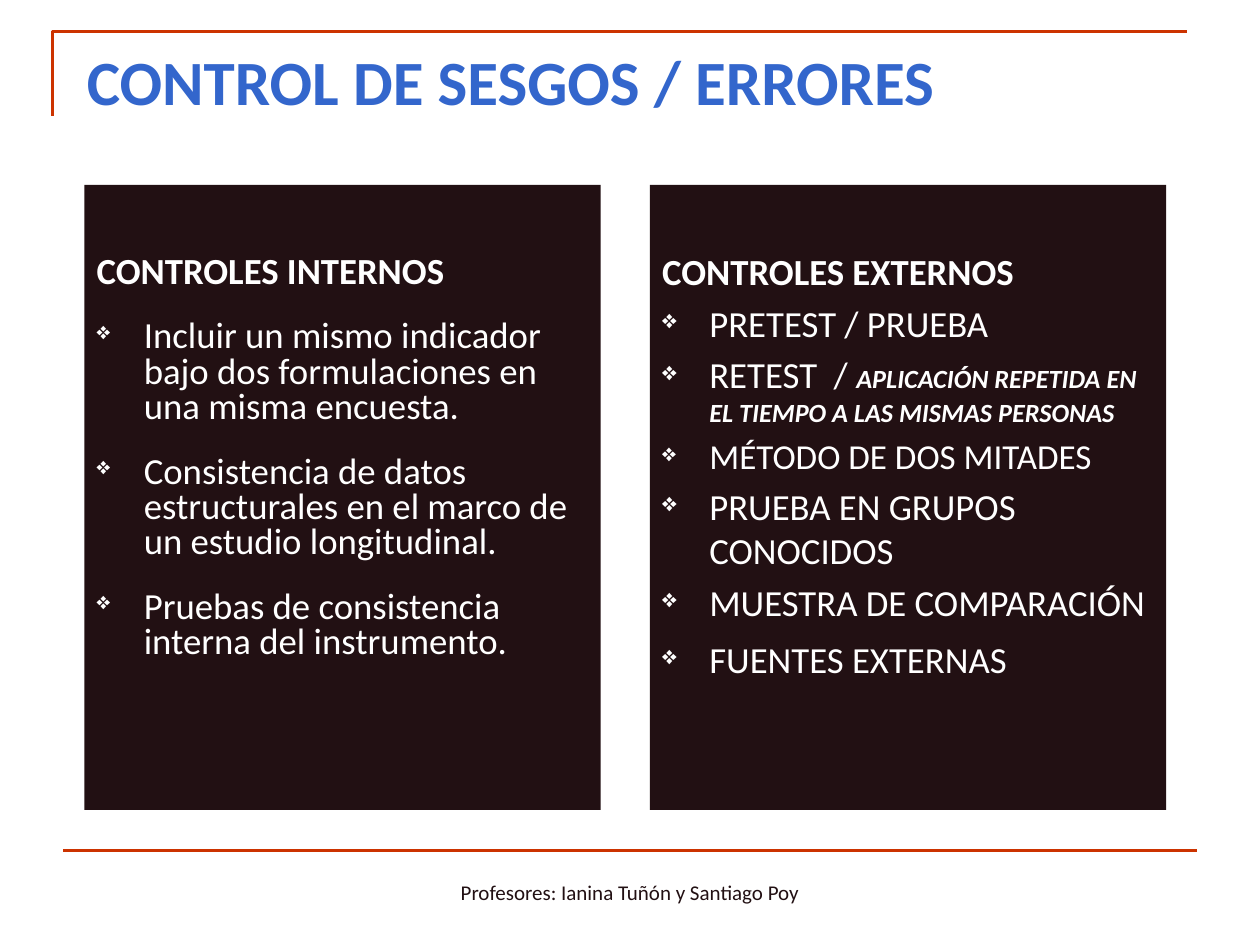
from lxml.etree import SubElement
from pptx import Presentation
from pptx.dml.color import RGBColor
from pptx.enum.shapes import MSO_CONNECTOR, MSO_SHAPE
from pptx.enum.text import MSO_ANCHOR, PP_ALIGN
from pptx.oxml.ns import qn
from pptx.util import Cm, Pt

COLORS = {"rule": "CC3300", "title": "3366CC", "dark": "221013", "light": "FFFFFF"}


def rgb(name):
    return RGBColor.from_string(COLORS[name])


class SlideBuilder:
    font = "Calibri"
    rule_width = Pt(1.5)
    indent = Cm(0.95)

    def __init__(self, prs):
        self.slide = prs.slides.add_slide(prs.slide_layouts[6])

    def style_line(self, line):
        line.color.rgb = rgb("rule")
        line.width = self.rule_width

    def corner(self, left, top, right, bottom):
        fb = self.slide.shapes.build_freeform(Cm(left), Cm(bottom))
        fb.add_line_segments([(Cm(left), Cm(top)), (Cm(right), Cm(top))], close=False)
        sp = fb.convert_to_shape()
        sp.shadow.inherit = False
        sp.fill.background()
        self.style_line(sp.line)

    def rule(self, left, right, y):
        cxn = self.slide.shapes.add_connector(
            MSO_CONNECTOR.STRAIGHT, Cm(left), Cm(y), Cm(right), Cm(y))
        SubElement(cxn._element.spPr, qn("a:effectLst"))
        self.style_line(cxn.line)

    def run(self, p, text, color, **fmt):
        r = p.add_run()
        r.text = text
        for key, value in {"name": self.font, **fmt}.items():
            setattr(r.font, key, value)
        r.font.color.rgb = rgb(color)

    def text(self, box, text, color, anchor=MSO_ANCHOR.TOP, align=PP_ALIGN.LEFT, **fmt):
        tf = self.slide.shapes.add_textbox(*map(Cm, box)).text_frame
        tf.word_wrap = True
        tf.vertical_anchor = anchor
        p = tf.paragraphs[0]
        p.alignment = align
        self.run(p, text, color, **fmt)

    def bullet(self, p, percent):
        pPr = p._p.get_or_add_pPr()
        pPr.set("marL", str(self.indent))
        pPr.set("indent", str(-self.indent))
        clr = SubElement(pPr, qn("a:buClr"))
        SubElement(clr, qn("a:srgbClr"), val=COLORS["light"])
        SubElement(pPr, qn("a:buSzPct"), val=str(percent * 1000))
        SubElement(pPr, qn("a:buChar"), char="❖")

    def panel(self, box, inset, heading, items, bullet_size, line_spacing):
        """Each item is (space before in points, [(text, format), ...])."""
        sp = self.slide.shapes.add_shape(MSO_SHAPE.RECTANGLE, *map(Cm, box))
        sp.shadow.inherit = False
        sp.fill.solid()
        sp.fill.fore_color.rgb = rgb("dark")
        sp.line.fill.background()
        tf = sp.text_frame
        tf.word_wrap = True
        tf.vertical_anchor = MSO_ANCHOR.TOP
        tf.margin_top = Cm(inset)
        p = tf.paragraphs[0]
        p.alignment = PP_ALIGN.LEFT
        p.line_spacing = line_spacing
        self.run(p, heading, "light", size=Pt(21), bold=True)
        for space, runs in items:
            p = tf.add_paragraph()
            self.bullet(p, bullet_size)
            p.alignment = PP_ALIGN.LEFT
            p.line_spacing = line_spacing
            p.space_before = Pt(space)
            for text, fmt in runs:
                self.run(p, text, "light", **{"size": Pt(21), **fmt})


INTERNAL = [(16.8, [(text, {})]) for text in (
    "Incluir un mismo indicador bajo dos formulaciones en una misma encuesta.",
    "Consistencia de datos estructurales en el marco de un estudio longitudinal.",
    "Pruebas de consistencia interna del instrumento.",
)]
EXTERNAL = [
    (4.2, [("PRETEST / PRUEBA", {})]),
    (4.2, [("RETEST  / ", {}),
           ("APLICACIÓN REPETIDA EN EL TIEMPO A LAS MISMAS PERSONAS",
            {"size": Pt(15), "bold": True, "italic": True})]),
    (4, [("MÉTODO DE DOS MITADES", {"size": Pt(20)})]),
    (4.2, [("PRUEBA EN GRUPOS CONOCIDOS", {})]),
    (4.2, [("MUESTRA DE COMPARACIÓN", {})]),
    (7.35, [("FUENTES EXTERNAS", {})]),
]


def main():
    prs = Presentation()
    prs.slide_width, prs.slide_height = Cm(25.4), Cm(19.05)
    s = SlideBuilder(prs)

    # Frame lines
    s.corner(1.06, 0.63, 23.92, 2.33)
    s.rule(1.27, 24.13, 17.15)

    # Title
    s.text((1.5, 0.74, 23.04, 1.6), "CONTROL DE SESGOS / ERRORES", "title",
           size=Pt(36), bold=True)

    # Two panels
    top, width, height = 3.73, 10.41, 12.6
    s.panel((1.7, top, width, height), 1.43, "CONTROLES INTERNOS", INTERNAL, 65, 0.8)
    s.panel((13.1, top, width, height), 1.29, "CONTROLES EXTERNOS", EXTERNAL, 70, 1.0)

    # Footer
    s.text((8.68, 17.36, 8.04, 1.27), "Profesores: Ianina Tuñón y Santiago Poy", "dark",
           MSO_ANCHOR.MIDDLE, PP_ALIGN.CENTER, size=Pt(12))

    prs.save("out.pptx")


if __name__ == "__main__":
    main()
